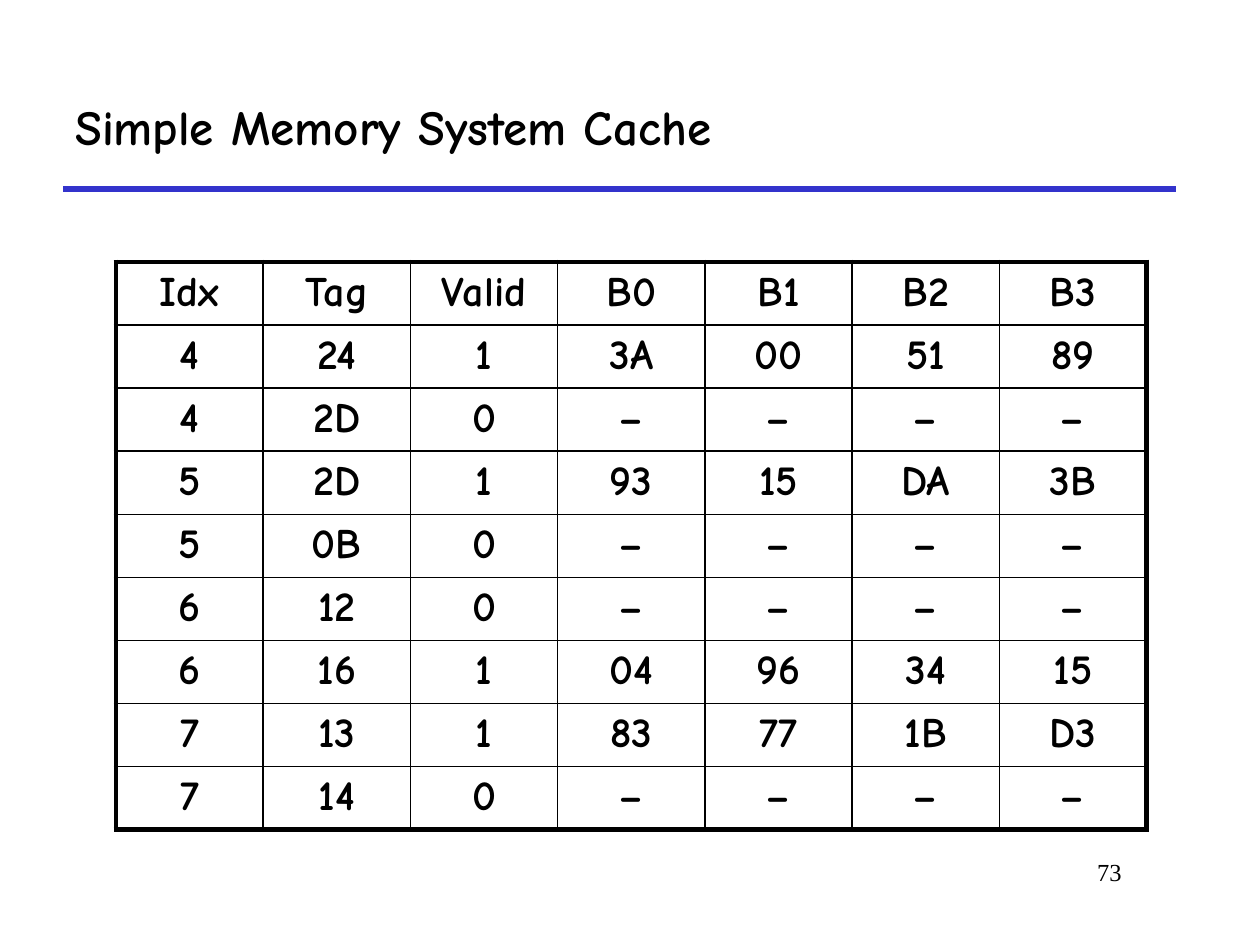
from dataclasses import dataclass

from lxml.etree import SubElement
from pptx import Presentation
from pptx.dml.color import RGBColor
from pptx.enum.shapes import MSO_CONNECTOR
from pptx.enum.text import MSO_ANCHOR, PP_ALIGN
from pptx.oxml.ns import qn
from pptx.slide import Slide
from pptx.table import _Cell
from pptx.text.text import TextFrame
from pptx.util import Inches, Pt

BLACK = "000000"
RULE_BLUE = "3333CC"
TITLE_FONT = "Comic Neue"
NUMBER_FONT = "Times New Roman"
OUTER_BORDER, INNER_BORDER = 3, 1
TABLE_LEFT, TABLE_TOP, TABLE_WIDTH, TABLE_HEIGHT = 0.92, 2.08, 8.18, 4.48
EMPTY_BLOCKS = ("–",) * 4


@dataclass(frozen=True)
class CacheLine:
    index: str
    tag: str
    valid: str
    blocks: tuple[str, ...] = EMPTY_BLOCKS

    def values(self) -> tuple[str, ...]:
        return (self.index, self.tag, self.valid, *self.blocks)


HEADER = CacheLine("Idx", "Tag", "Valid", ("B0", "B1", "B2", "B3"))
CACHE_LINES = [
    CacheLine("4", "24", "1", ("3A", "00", "51", "89")),
    CacheLine("4", "2D", "0"),
    CacheLine("5", "2D", "1", ("93", "15", "DA", "3B")),
    CacheLine("5", "0B", "0"),
    CacheLine("6", "12", "0"),
    CacheLine("6", "16", "1", ("04", "96", "34", "15")),
    CacheLine("7", "13", "1", ("83", "77", "1B", "D3")),
    CacheLine("7", "14", "0"),
]


def color(value: str) -> RGBColor:
    return RGBColor.from_string(value)


def write_text(frame: TextFrame, text: str, *, size: float, font: str = TITLE_FONT,
               bold: bool = True, align: PP_ALIGN = PP_ALIGN.LEFT) -> None:
    paragraph = frame.paragraphs[0]
    paragraph.alignment = align
    run = paragraph.add_run()
    run.text = text
    run.font.size = Pt(size)
    run.font.name = font
    run.font.bold = bold
    run.font.color.rgb = color(BLACK)


def add_text_box(slide: Slide, left: float, top: float, width: float, height: float,
                 text: str, *, anchor: MSO_ANCHOR = MSO_ANCHOR.TOP, **text_format) -> None:
    box = slide.shapes.add_textbox(Inches(left), Inches(top), Inches(width), Inches(height))
    box.text_frame.word_wrap = True
    box.text_frame.vertical_anchor = anchor
    write_text(box.text_frame, text, **text_format)


def add_title_rule(slide: Slide) -> None:
    rule = slide.shapes.add_connector(
        MSO_CONNECTOR.STRAIGHT, Inches(0.5), Inches(1.5), Inches(9.33), Inches(1.5))
    rule.line.color.rgb = color(RULE_BLUE)
    rule.line.width = Pt(3)
    SubElement(rule._element.spPr, qn("a:effectLst"))


def set_borders(cell: _Cell, widths: dict[str, float]) -> None:
    """Draw the cell's edges, given in the order L, R, T, B."""
    properties = cell._tc.get_or_add_tcPr()
    for side, width in widths.items():
        line = SubElement(properties, qn(f"a:ln{side}"), w=str(Pt(width)))
        fill = SubElement(line, qn("a:solidFill"))
        SubElement(fill, qn("a:srgbClr"), val=BLACK)


def add_cache_table(slide: Slide, lines: list[CacheLine]) -> None:
    rows = [line.values() for line in lines]
    last_row, last_column = len(rows) - 1, len(rows[0]) - 1
    table = slide.shapes.add_table(
        len(rows), len(rows[0]), Inches(TABLE_LEFT), Inches(TABLE_TOP),
        Inches(TABLE_WIDTH), Inches(TABLE_HEIGHT)).table
    table.first_row = False
    table.horz_banding = False

    def border(is_outer: bool) -> float:
        return OUTER_BORDER if is_outer else INNER_BORDER

    for row_number, values in enumerate(rows):
        for column_number, value in enumerate(values):
            cell = table.cell(row_number, column_number)
            set_borders(cell, {
                "L": border(column_number == 0),
                "R": border(column_number == last_column),
                "T": border(row_number == 0),
                "B": border(row_number == last_row),
            })
            cell.fill.background()
            write_text(cell.text_frame, value, size=24, align=PP_ALIGN.CENTER)


def main() -> None:
    presentation = Presentation()
    presentation.slide_width = Inches(10)
    presentation.slide_height = Inches(7.5)
    slide = presentation.slides.add_slide(presentation.slide_layouts[6])
    add_title_rule(slide)
    add_text_box(slide, 7.58, 6.75, 1.42, 0.5, "73",
                 size=14, font=NUMBER_FONT, bold=False, align=PP_ALIGN.RIGHT)
    add_text_box(slide, 0.5, 0.5, 8.83, 1, "Simple Memory System Cache",
                 anchor=MSO_ANCHOR.MIDDLE, size=28)
    add_cache_table(slide, [HEADER, *CACHE_LINES])
    presentation.save("out.pptx")


if __name__ == "__main__":
    main()
